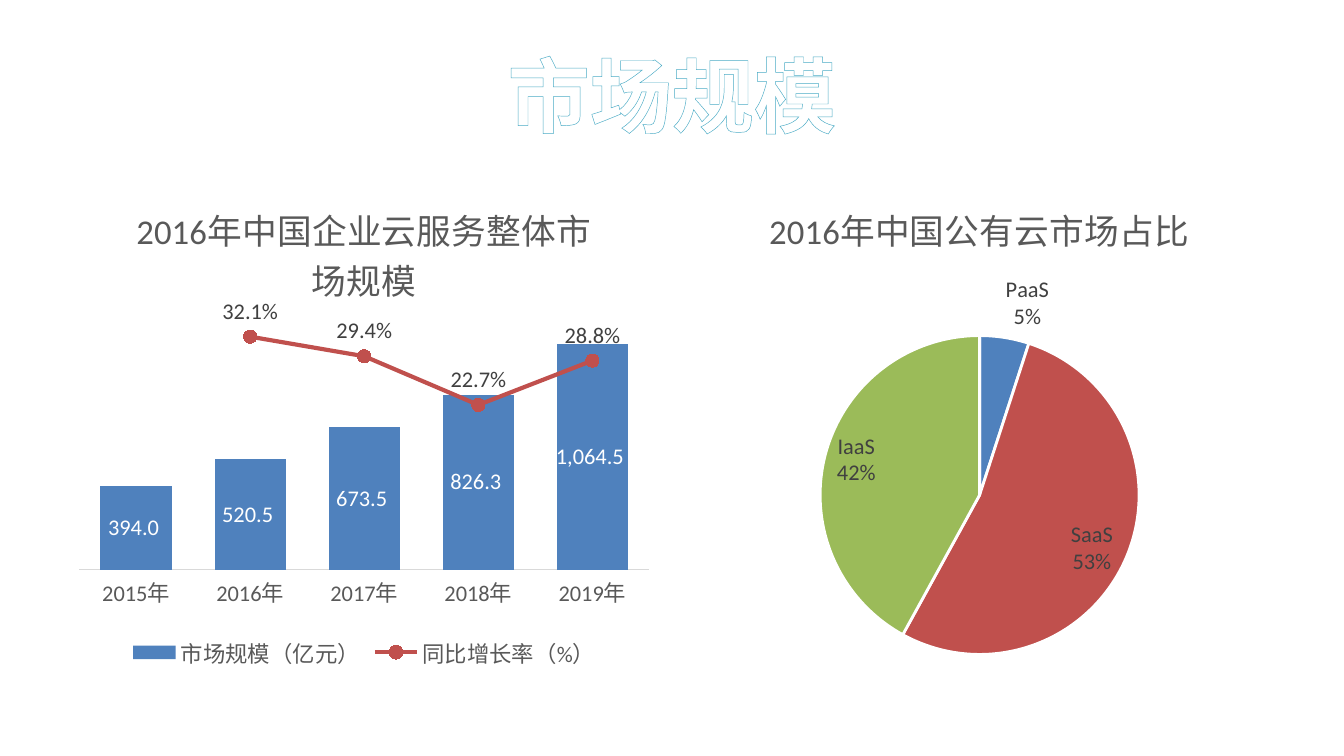
"""Build a market size slide with a combined column-line chart and a pie chart."""
from dataclasses import dataclass

from pptx import Presentation
from pptx import util as u
from pptx.chart import data as cd
from pptx.dml.color import RGBColor
from pptx.enum import chart as ec
from pptx.enum import text as et
from pptx.oxml import ns, parse_xml

FONT = "Calibri"
GREY, DARK, WHITE = "595959", "404040", "FFFFFF"
BLUE, RED, GREEN = "4F81BD", "C0504D", "9BBB59"
YEARS = [f"{year}年" for year in range(2015, 2020)]
SIZES = (394, 520.5, 673.5, 826.3, 1064.5)
RATES = (None, 0.321, 0.294, 0.227, 0.288)
SHARES = {"PaaS": (5, BLUE), "SaaS": (53, RED), "IaaS": (42, GREEN)}


@dataclass
class Panel:
    left: float
    title: str
    kind: ec.XL_CHART_TYPE
    area: tuple[float, float, float, float]


@dataclass
class Label:
    color: str
    spot: ec.XL_LABEL_POSITION
    form: str
    share: bool = False


def rgb(code: str) -> RGBColor:
    return RGBColor.from_string(code)


def style(font, size: float, color: str, name: str = FONT, bold: bool = False) -> None:
    font.size, font.name, font.bold = u.Pt(size), name, bold
    font.color.rgb = rgb(color)


def paint(fill, color: str) -> None:
    fill.solid()
    fill.fore_color.rgb = rgb(color)


def node(xml: str):
    return parse_xml(f"<c:root {ns.nsdecls('c', 'a')}>{xml}</c:root>")[0]


def add_panel(slide, panel: Panel, data):
    chart = slide.shapes.add_chart(
        panel.kind, u.Cm(panel.left), u.Cm(3.33), u.Cm(11.23), u.Cm(9.42), data).chart
    style(chart.font, 10, "000000")
    chart.has_title = True
    chart.chart_title.include_in_layout = False
    para = chart.chart_title.text_frame.paragraphs[0]
    para.text = panel.title
    style(para.font, 18.6, GREY)
    plot = chart.plots[0]
    plot.vary_by_categories = panel.kind == ec.XL_CHART_TYPE.PIE
    spots = "".join(f'<c:{key} val="{val}"/>' for key, val in zip("xywh", panel.area))
    area = plot._element.getparent()
    for old in area.findall(ns.qn("c:layout")):
        area.remove(old)
    area.insert(0, node(
        '<c:layout><c:manualLayout><c:layoutTarget val="inner"/><c:xMode val="edge"/>'
        f'<c:yMode val="edge"/>{spots}</c:manualLayout></c:layout>'))
    return chart


def add_labels(series, label: Label) -> None:
    tags = series.data_labels
    style(tags.font, 12, label.color)
    tags.number_format, tags.number_format_is_linked = label.form, False
    tags.position = label.spot
    tags.show_value = not label.share
    tags.show_percentage = tags.show_category_name = label.share
    if label.share:
        last = tags._element.find(ns.qn("c:showLeaderLines"))
        mark = node("<c:separator>\n</c:separator>")
        if last is None:
            tags._element.append(mark)
        else:
            last.addprevious(mark)


def split_line(chart):
    """Move the second series to a line plot on a second axis and return it."""
    bars = chart.plots[0]._element
    ser = bars.findall(ns.qn("c:ser"))[1]
    for flag in ser.findall(ns.qn("c:invertIfNegative")):
        ser.remove(flag)
    line = node('<c:lineChart><c:grouping val="standard"/><c:varyColors val="0"/>'
                '<c:marker val="1"/><c:axId val="501"/><c:axId val="502"/></c:lineChart>')
    line.insert(2, ser)
    bars.addnext(line)
    last = bars.getparent().findall(ns.qn("c:valAx"))[-1]
    scale = '<c:scaling><c:orientation val="minMax"/></c:scaling>'
    last.addnext(node(
        f'<c:catAx><c:axId val="501"/>{scale}<c:delete val="1"/><c:axPos val="b"/>'
        '<c:crossAx val="502"/></c:catAx>'))
    last.addnext(node(
        f'<c:valAx><c:axId val="502"/>{scale}<c:delete val="0"/><c:axPos val="r"/>'
        '<c:numFmt formatCode="0.0%" sourceLinked="0"/><c:majorTickMark val="out"/>'
        '<c:minorTickMark val="none"/><c:tickLblPos val="none"/>'
        '<c:spPr><a:ln><a:noFill/></a:ln></c:spPr>'
        '<c:crossAx val="501"/><c:crosses val="max"/></c:valAx>'))
    return chart.plots[1].series[0]


def add_growth(slide) -> None:
    data = cd.CategoryChartData()
    data.categories = YEARS
    data.add_series("市场规模（亿元）", SIZES)
    data.add_series("同比增长率（%）", RATES)
    chart = add_panel(slide, Panel(1.27, "2016年中国企业云服务整体市场规模",
                                   ec.XL_CHART_TYPE.COLUMN_CLUSTERED,
                                   (0.02, 0.28, 0.96, 0.51)), data)
    plot = chart.plots[0]
    plot.gap_width, plot.overlap = 60, -27
    for axis in (chart.category_axis, chart.value_axis):
        axis.major_tick_mark = ec.XL_TICK_MARK.NONE
        axis.has_major_gridlines = False
        style(axis.tick_labels.font, 12, GREY)
    chart.category_axis.format.line.color.rgb = rgb("D9D9D9")
    chart.category_axis.format.line.width = u.Pt(0.75)
    chart.value_axis.tick_label_position = ec.XL_TICK_LABEL_POSITION.NONE
    chart.value_axis.format.line.fill.background()
    chart.has_legend = True
    chart.legend.position = ec.XL_LEGEND_POSITION.BOTTOM
    chart.legend.include_in_layout = False
    style(chart.legend.font, 12, GREY)

    rate = split_line(chart)
    size = plot.series[0]
    paint(size.format.fill, BLUE)
    spot = ec.XL_LABEL_POSITION
    add_labels(size, Label(WHITE, spot.CENTER, r"#,##0.0_);[Red]\(#,##0.0\)"))
    rate.smooth = False
    rate.format.line.color.rgb = rgb(RED)
    rate.format.line.width = u.Pt(2.25)
    rate.marker.style, rate.marker.size = ec.XL_MARKER_STYLE.CIRCLE, 7
    paint(rate.marker.format.fill, RED)
    rate.marker.format.line.color.rgb = rgb(RED)
    add_labels(rate, Label(DARK, spot.ABOVE, "0.0%"))


def add_shares(slide) -> None:
    data = cd.CategoryChartData()
    data.categories = list(SHARES)
    data.add_series("Series 1", [share for share, _ in SHARES.values()])
    chart = add_panel(slide, Panel(12.9, "2016年中国公有云市场占比",
                                   ec.XL_CHART_TYPE.PIE, (0.23, 0.32, 0.54, 0.64)), data)
    chart.has_legend = False
    series = chart.plots[0].series[0]
    for i, (_, color) in enumerate(SHARES.values()):
        look = series.points[i].format
        paint(look.fill, color)
        look.line.color.rgb = rgb(WHITE)
        look.line.width = u.Pt(1.5)
    add_labels(series, Label(DARK, ec.XL_LABEL_POSITION.BEST_FIT, "0%", True))


def add_title(slide) -> None:
    title = slide.shapes.title
    title.left, title.top = u.Cm(1.27), u.Cm(0.58)
    title.width, title.height = u.Cm(22.86), u.Cm(2.39)
    title.text_frame.vertical_anchor = et.MSO_ANCHOR.MIDDLE
    para = title.text_frame.paragraphs[0]
    para.alignment = et.PP_ALIGN.CENTER
    run = para.add_run()
    run.text = "市场规模"
    style(run.font, 44, WHITE, "Arial", True)
    run._r.get_or_add_rPr().insert(0, node(
        f'<a:ln w="{u.Pt(0.8)}"><a:solidFill><a:srgbClr val="4BACC6"/></a:solidFill></a:ln>'))


def main() -> None:
    deck = Presentation()
    deck.slide_width, deck.slide_height = u.Cm(25.4), u.Cm(14.29)
    slide = deck.slides.add_slide(deck.slide_layouts[5])
    add_title(slide)
    add_shares(slide)
    add_growth(slide)
    deck.save("out.pptx")


if __name__ == "__main__":
    main()
